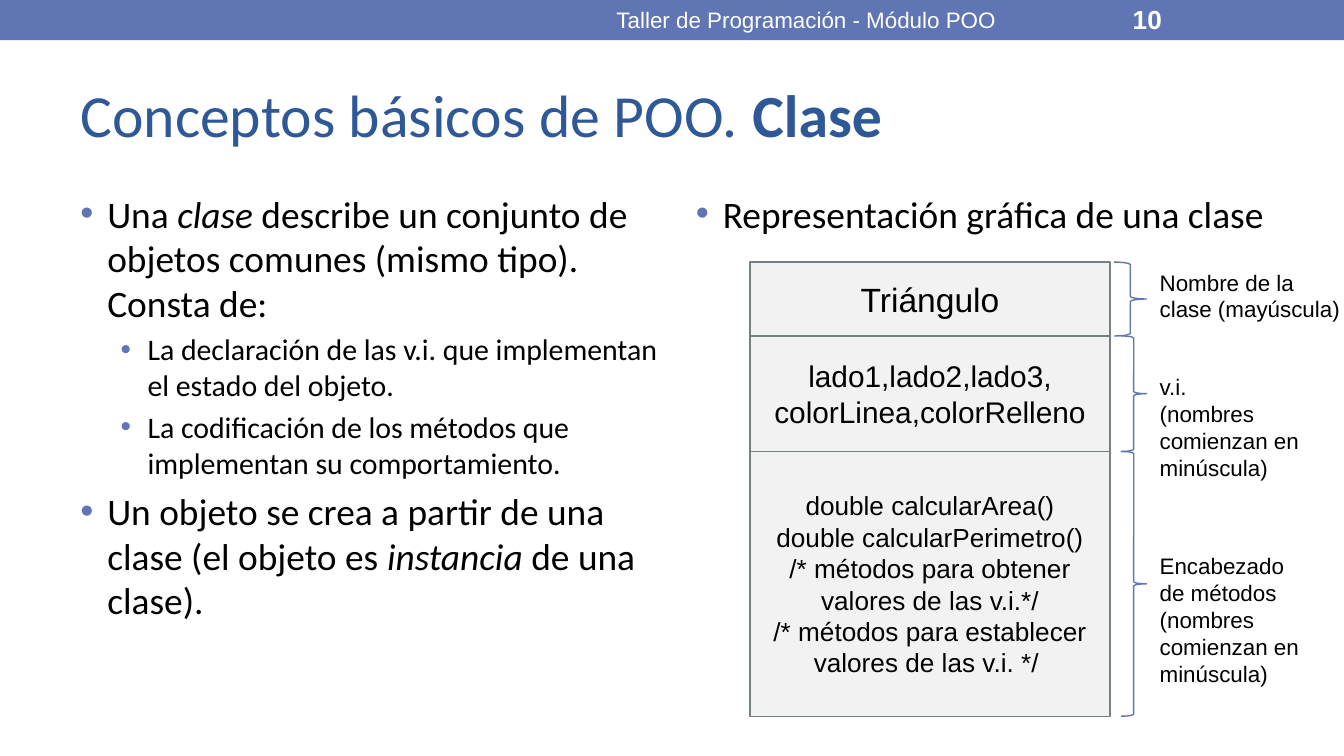
from lxml import etree
from pptx import Presentation
from pptx.dml.color import RGBColor
from pptx.enum.shapes import MSO_SHAPE
from pptx.enum.text import MSO_ANCHOR, PP_ALIGN
from pptx.oxml.ns import qn
from pptx.util import Inches, Pt

RECTANGLE, BRACE = MSO_SHAPE.RECTANGLE, MSO_SHAPE.RIGHT_BRACE
TOP, MIDDLE = MSO_ANCHOR.TOP, MSO_ANCHOR.MIDDLE
LEFT, CENTER = PP_ALIGN.LEFT, PP_ALIGN.CENTER

ACCENT, TITLE_BLUE, BLACK, WHITE = "6076B4", "2F5897", "000000", "FFFFFF"
BOX_FILL, BOX_LINE = "F2F2F2", "758085"

TITLE = [[("Conceptos básicos de POO. ", ""), ("Clase", "b")]]
COURSE = "Taller de Programación - Módulo POO"
PAGE = "10"

DEFINITION = [
    (0, 0, [("Una ", ""), ("clase", "i"),
            (" describe un conjunto de objetos comunes (mismo tipo). Consta de:", "")]),
    (1, 3.2, [("La declaración de las v.i. que implementan el estado del objeto.", "")]),
    (1, 3.2, [("La codificación de los métodos que implementan su comportamiento.", "")]),
    (0, 4, [("Un objeto se crea a partir de una clase (el objeto es", ""),
            (" instancia ", "i"), ("de una clase).", "")]),
]
REPRESENTATION = [(0, 0, [("Representación gráfica de una clase", "")])]
LEVELS = [(20, 0.2), (16, 0.5)]

NAMING_RULE = "(nombres comienzan en minúscula)"
COMPARTMENTS = [
    {"height": 0.55, "size": 18, "lines": ["Triángulo"], "brace_left": 8.29,
     "note": ["Nombre de la clase (mayúscula)"], "note_box": (1.95, 1.59, 0.5)},
    {"height": 0.86, "size": 16, "lines": ["lado1,lado2,lado3,", "colorLinea,colorRelleno"],
     "brace_left": 8.34, "note": ["v.i.", NAMING_RULE], "note_box": (2.73, 1.35, 0.91)},
    {"height": 1.97, "size": 14,
     "lines": ["double calcularArea() double calcularPerimetro()",
               "/* métodos para obtener valores de las v.i.*/",
               "/* métodos para establecer valores de las v.i. */ "],
     "brace_left": 8.34, "note": ["Encabezado de métodos", NAMING_RULE],
     "note_box": (4.06, 1.35, 1.11)},
]
CLASS_LEFT, CLASS_TOP, CLASS_WIDTH = 5.58, 1.95, 2.68
NOTE_LEFT = 8.53


def color(value):
    return RGBColor.from_string(value)


def plain(lines, style=""):
    return [[(line, style)] for line in lines]


def add_runs(paragraph, pieces, size, font, ink):
    for words, style in pieces:
        run = paragraph.add_run()
        run.text = words
        run.font.size = Pt(size)
        run.font.name = font
        run.font.color.rgb = color(ink)
        run.font.bold = "b" in style
        run.font.italic = "i" in style


def write(frame, paragraphs, size, font="Arial", ink=BLACK, align=LEFT, anchor=TOP):
    frame.word_wrap = True
    frame.vertical_anchor = anchor
    for index, pieces in enumerate(paragraphs):
        paragraph = frame.add_paragraph() if index else frame.paragraphs[0]
        paragraph.alignment = align
        add_runs(paragraph, pieces, size, font, ink)


def add_text(box, paragraphs, size, **look):
    write(slide.shapes.add_textbox(*map(Inches, box)).text_frame, paragraphs, size, **look)


def add_bullets(box, items):
    frame = slide.shapes.add_textbox(*map(Inches, box)).text_frame
    frame.word_wrap = True
    for index, (level, space, pieces) in enumerate(items):
        paragraph = frame.add_paragraph() if index else frame.paragraphs[0]
        size, indent = LEVELS[level]
        properties = paragraph._p.get_or_add_pPr()
        properties.set("marL", str(Inches(indent)))
        properties.set("indent", str(Inches(-0.2)))
        tint = etree.SubElement(properties, qn("a:buClr"))
        etree.SubElement(tint, qn("a:srgbClr"), val=ACCENT)
        etree.SubElement(properties, qn("a:buFont"), typeface="Arial")
        etree.SubElement(properties, qn("a:buChar"), char="•")
        paragraph.level = level
        paragraph.space_before = Pt(space)
        add_runs(paragraph, pieces, size, "Calibri", BLACK)


def add_shape(kind, box, fill=None, line=None):
    shape = slide.shapes.add_shape(kind, *map(Inches, box))
    shape.shadow.inherit = False
    if fill:
        shape.fill.solid()
        shape.fill.fore_color.rgb = color(fill)
    else:
        shape.fill.background()
    if line:
        shape.line.color.rgb = color(line)
        shape.line.width = Pt(0.75)
    else:
        shape.line.fill.background()
    return shape


presentation = Presentation()
presentation.slide_width = Inches(10)
presentation.slide_height = Inches(10 * 9 / 16)
slide = presentation.slides.add_slide(presentation.slide_layouts[6])

add_shape(RECTANGLE, (0, 0, 10, 0.3), fill=ACCENT)
add_text((0.5, 0.44, 9, 0.81), TITLE, 32, font="Calibri", ink=TITLE_BLUE, anchor=MIDDLE)
add_bullets((0.5, 1.37, 4.66, 3.87), DEFINITION)
add_bullets((5.08, 1.37, 5.03, 3.87), REPRESENTATION)
add_text((3.75, 0.01, 4.5, 0.27), plain([COURSE]), 12, ink=WHITE, align=CENTER, anchor=MIDDLE)
add_text((8.33, 0.01, 1.17, 0.27), plain([PAGE], "b"), 14, ink=WHITE, anchor=MIDDLE)

top = CLASS_TOP
for part in COMPARTMENTS:
    height, brace_left = part["height"], part["brace_left"]
    compartment = add_shape(RECTANGLE, (CLASS_LEFT, top, CLASS_WIDTH, height), BOX_FILL, BOX_LINE)
    write(compartment.text_frame, plain(part["lines"]), part["size"], align=CENTER, anchor=MIDDLE)
    add_shape(BRACE, (brace_left, top, NOTE_LEFT - brace_left, height), line=ACCENT)
    add_text((NOTE_LEFT, *part["note_box"]), plain(part["note"]), 12)
    top += height

presentation.save("out.pptx")
